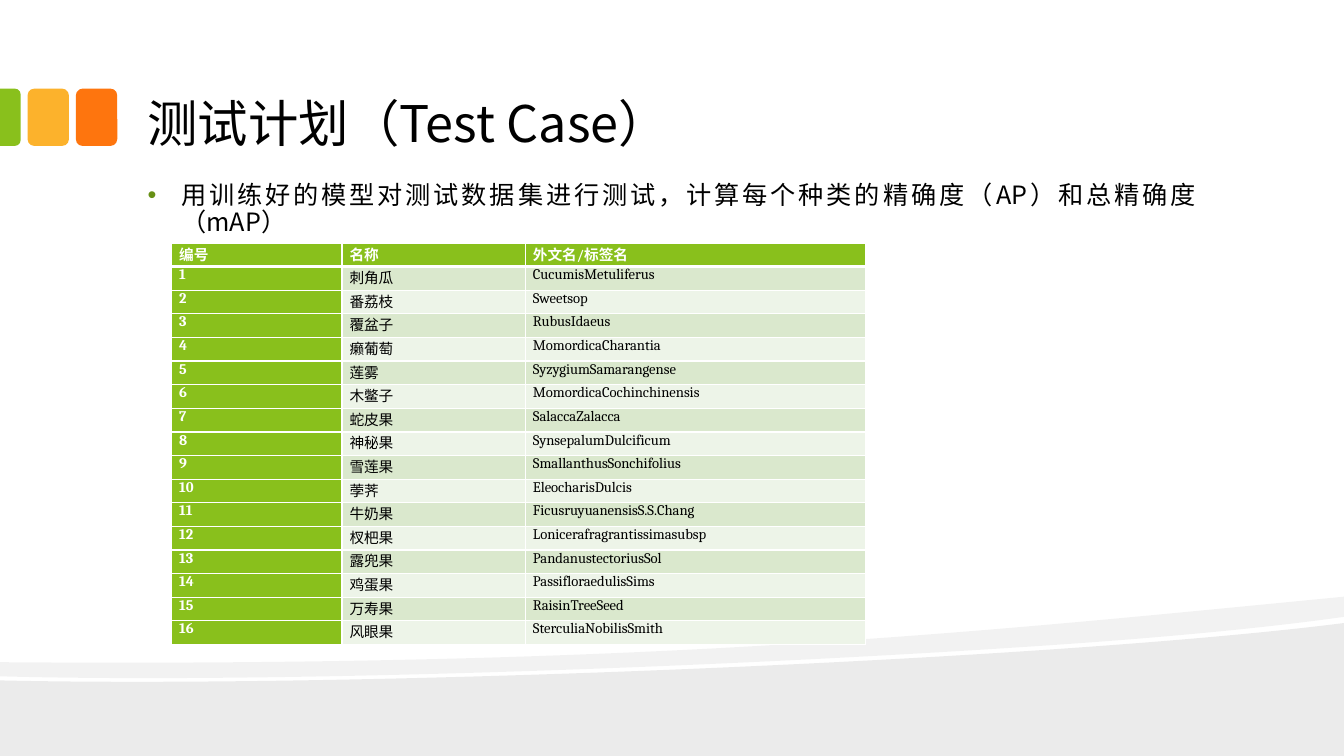
import pptx
import pptx.util
import pptx.dml.color
import pptx.enum.shapes
import pptx.enum.text
import pptx.oxml
import pptx.oxml.ns

Pt = pptx.util.Pt
RGB = pptx.dml.color.RGBColor
SHAPE = pptx.enum.shapes.MSO_SHAPE
ALIGN = pptx.enum.text.PP_ALIGN
ANCHOR = pptx.enum.text.MSO_ANCHOR
qn = pptx.oxml.ns.qn
SPACE = pptx.oxml.ns.nsdecls("a")

BLACK = RGB(0, 0, 0)
WHITE = RGB(255, 255, 255)
GREEN = RGB(0x89, 0xC0, 0x1C)
AMBER = RGB(0xFC, 0xB2, 0x2C)
ORANGE = RGB(0xFE, 0x75, 0x0E)
MOSS = RGB(0x67, 0x90, 0x15)
BANDS = RGB(0xDA, 0xE8, 0xCD), RGB(0xED, 0xF4, 0xE8)
SANS, SERIF = "Noto Sans CJK SC", "Cambria"

HEADS = ["编号", "名称", "外文名/标签名"]
FRUITS = [
    ("刺角瓜", "CucumisMetuliferus"),
    ("番荔枝", "Sweetsop"),
    ("覆盆子", "RubusIdaeus"),
    ("癞葡萄", "MomordicaCharantia"),
    ("莲雾", "SyzygiumSamarangense"),
    ("木鳖子", "MomordicaCochinchinensis"),
    ("蛇皮果", "SalaccaZalacca"),
    ("神秘果", "SynsepalumDulcificum"),
    ("雪莲果", "SmallanthusSonchifolius"),
    ("荸荠", "EleocharisDulcis"),
    ("牛奶果", "FicusruyuanensisS.S.Chang"),
    ("杈杷果", "Lonicerafragrantissimasubsp"),
    ("露兜果", "PandanustectoriusSol"),
    ("鸡蛋果", "PassifloraedulisSims"),
    ("万寿果", "RaisinTreeSeed"),
    ("风眼果", "SterculiaNobilisSmith"),
]

# Wave contours: a pair is a corner, a triple of pairs is a Bezier curve
LOW = [[(960, 445), (960, 540), (0, 540), (0, 486),
        ((253.4, 491.8), (750.2, 471.6), (960, 445))]]
HIGH = [[(0, 540), (960, 540)],
        [(960, 426.2), (960, 440.6),
         ((903.6, 448.6), (827.3, 455.8), (740.9, 461.5)),
         ((502.6, 477.4), (185.8, 488.2), (0, 483.1)),
         (0, 473), ((469.4, 476.6), (699.1, 451.4), (960, 426.2))]]


def paint(shape, color):
    shape.shadow.inherit = False
    shape.fill.solid()
    shape.fill.fore_color.rgb = color
    shape.line.fill.background()


def style(par, size, face, color, bold=False):
    for run in par.runs:
        font = run.font
        font.size, font.name, font.bold = Pt(size), face, bold
        font.color.rgb = color
        east = pptx.oxml.parse_xml(f'<a:ea {SPACE} typeface="{SANS}"/>')
        font._element.find(qn("a:latin")).addnext(east)


def is_curve(part):
    return isinstance(part[0], tuple)


def bend(wave, contours):
    """Join each three line steps of a curve into one Bezier step."""
    steps = iter(list(wave.element.iter(qn("a:lnTo"))))
    for contour in contours:
        for part in contour[1:]:
            first = next(steps)
            if not is_curve(part):
                continue
            curve = pptx.oxml.parse_xml(f'<a:cubicBezTo {SPACE}/>')
            first.addprevious(curve)
            for step in (first, next(steps), next(steps)):
                curve.append(step[0])
                step.getparent().remove(step)


def add_waves(shapes, left, top):
    for contours, alpha in ((LOW, 8), (HIGH, 5)):
        pen = None
        for contour in contours:
            spots = [(Pt(left + x), Pt(top + y)) for part in contour
                     for x, y in (part if is_curve(part) else [part])]
            if pen is None:
                pen = shapes.build_freeform(*spots[0])
            else:
                pen.move_to(*spots[0])
            pen.add_line_segments(spots[1:], close=True)
        wave = pen.convert_to_shape()
        bend(wave, contours)
        paint(wave, BLACK)
        color = next(wave.element.iter(qn("a:srgbClr")))
        color.append(pptx.oxml.parse_xml(
            f'<a:alpha {SPACE} val="{alpha * 1000}"/>'))


def add_tiles(shapes, left, top, width, height):
    for gap, color in ((54.2, ORANGE), (19.7, AMBER)):
        tile = shapes.add_shape(SHAPE.ROUNDED_RECTANGLE, Pt(left + gap),
                                Pt(top), Pt(width), Pt(height))
        paint(tile, color)
    # Half tile at the slide edge, turned so its round side faces right
    half = width / 2
    shift = (height - half) / 2
    edge = shapes.add_shape(SHAPE.ROUND_2_SAME_RECTANGLE, Pt(left - shift),
                            Pt(top + shift), Pt(height), Pt(half))
    edge.rotation = 90
    edge.adjustments[0], edge.adjustments[1] = 0.29, 0
    paint(edge, GREEN)


def add_decor(slide):
    """Group the waves and tiles and set them at the back of the master."""
    waves = slide.shapes.add_group_shape()
    add_waves(waves.shapes, 0, 0)
    tiles = slide.shapes.add_group_shape()
    add_tiles(tiles.shapes, 0, 63.3, 29.6, 41)
    tree = slide.slide_layout.slide_master.shapes.element
    for place, group in enumerate((waves, tiles), 2):
        tree.insert(place, group.element)
    for number, item in enumerate(tree.iter(qn("p:cNvPr")), 1):
        item.set("id", str(number))


def fill_holder(holder, text, box, size, anchor, align):
    holder.left, holder.top, holder.width, holder.height = map(Pt, box)
    frame = holder.text_frame
    frame.text = text
    frame.word_wrap = True
    frame.auto_size = pptx.enum.text.MSO_AUTO_SIZE.NONE
    frame.vertical_anchor = anchor
    frame.margin_left = frame.margin_right = Pt(9.4)
    frame.margin_top = frame.margin_bottom = Pt(4.8)
    par = frame.paragraphs[0]
    par.alignment = align
    par.space_before = Pt(0)
    style(par, size, SANS, BLACK)
    return par


def add_title(slide, *box):
    fill_holder(slide.shapes.title, "测试计划（Test Case）", box,
                36, ANCHOR.BOTTOM, ALIGN.LEFT)


def add_body(slide, *box):
    text = ("用训练好的模型对测试数据集进行测试，"
            "计算每个种类的精确度（AP）和总精确度（mAP）")
    par = fill_holder(slide.placeholders[1], text, box,
                      18, ANCHOR.TOP, ALIGN.JUSTIFY)
    par.line_spacing = 0.9
    props = par._p.get_or_add_pPr()
    props.set("marL", str(Pt(24)))
    props.set("indent", str(Pt(-24)))
    for xml in (f'<a:buClr {SPACE}><a:srgbClr val="{MOSS}"/></a:buClr>',
                f'<a:buFont {SPACE} typeface="Arial"/>',
                f'<a:buChar {SPACE} char="•"/>'):
        props.append(pptx.oxml.parse_xml(xml))


def set_edges(cell, under):
    props = cell._tc.get_or_add_tcPr()
    for side, width in zip("LRTB", (1, 1, 1, under)):
        props.append(pptx.oxml.parse_xml(
            f'<a:ln{side} {SPACE} w="{Pt(width)}"><a:solidFill>'
            f'<a:srgbClr val="{WHITE}"/></a:solidFill></a:ln{side}>'))


def add_fruits(slide, left, top, width, height):
    rows = [HEADS] + [(str(n), *names) for n, names in enumerate(FRUITS, 1)]
    grid = slide.shapes.add_table(len(rows), len(HEADS), Pt(left), Pt(top),
                                  Pt(width), Pt(height)).table
    for col, share in zip(grid.columns, (169, 182, 337)):
        col.width = Pt(width * share / 688)
    for r, row in enumerate(rows):
        grid.rows[r].height = Pt(height / len(rows))
        for c, text in enumerate(row):
            cell = grid.cell(r, c)
            strong = r == 0 or c == 0
            set_edges(cell, 3 if r == 0 else 1)
            cell.fill.solid()
            cell.fill.fore_color.rgb = GREEN if strong else BANDS[(r - 1) % 2]
            cell.margin_left = cell.margin_right = Pt(5.4)
            cell.margin_top = cell.margin_bottom = 0
            par = cell.text_frame.paragraphs[0]
            par.text = text
            par.alignment = ALIGN.JUSTIFY
            style(par, 10.5, SERIF, WHITE if strong else BLACK, strong)


def main():
    deck = pptx.Presentation()
    deck.slide_width, deck.slide_height = Pt(960), Pt(540)
    slide = deck.slides.add_slide(deck.slide_layouts[1])
    add_decor(slide)
    add_title(slide, 96, 12.2, 767.5, 101.6)
    add_body(slide, 96, 125.8, 767.5, 360)
    add_fruits(slide, 122.6, 173.6, 495.4, 286.9)
    deck.save("out.pptx")


if __name__ == "__main__":
    main()
